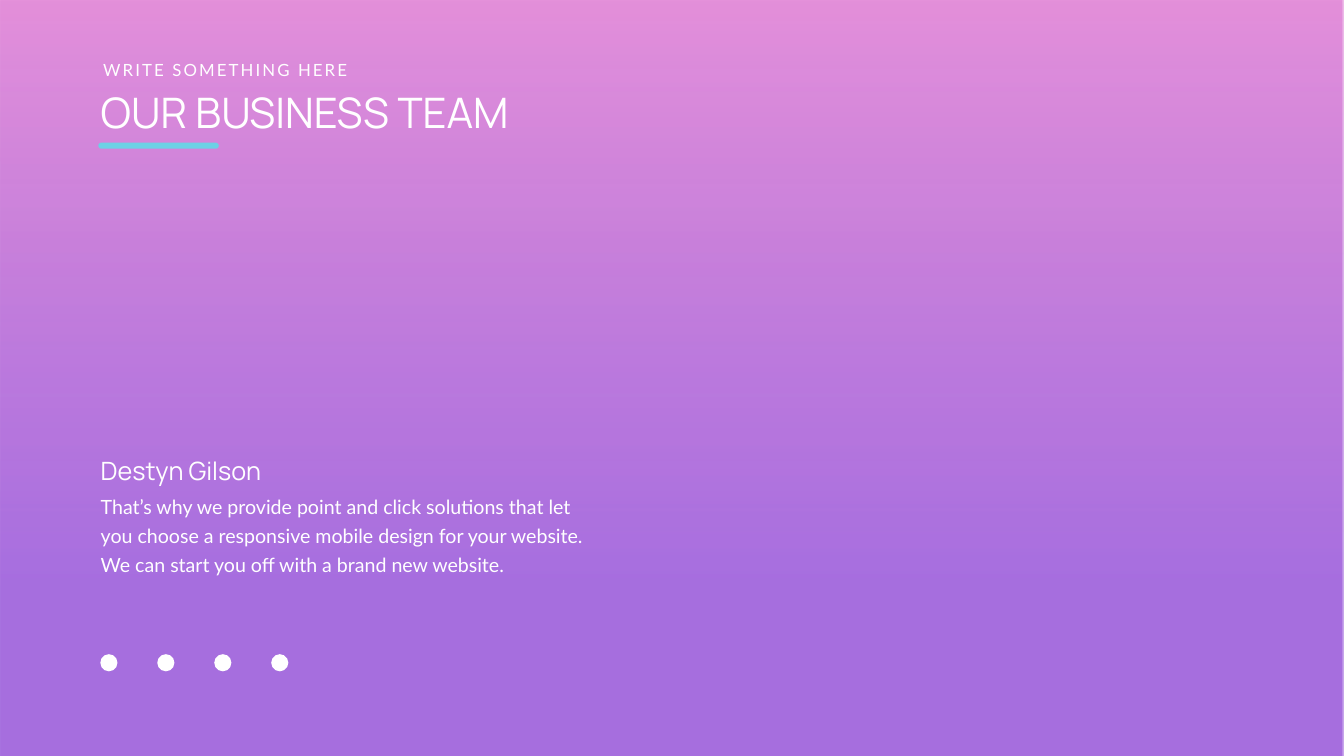
from dataclasses import dataclass

from lxml import etree
from pptx import Presentation
from pptx.dml.color import RGBColor
from pptx.enum import shapes, text
from pptx.oxml import ns
from pptx.util import Inches, Pt


@dataclass(frozen=True)
class Theme:
    white: RGBColor = RGBColor.from_string("FFFFFF")
    pink: RGBColor = RGBColor.from_string("E184D6")
    purple: RGBColor = RGBColor.from_string("914BD7")
    accent: RGBColor = RGBColor.from_string("6CD1E5")
    heading_font: str = "Manrope"
    body_font: str = "Lato"
    title_size: Pt = Pt(60)
    name_size: Pt = Pt(36)
    body_size: Pt = Pt(28)
    kicker_size: Pt = Pt(24)


theme = Theme()
prs = Presentation()
prs.slide_width, prs.slide_height = Inches(26.66), Inches(15)
slide = prs.slides.add_slide(prs.slide_layouts[6])


def add_plain(kind, left, top, width, height, color=None):
    """Add a preset shape without line or shadow, filled if a color is given."""
    shape = slide.shapes.add_shape(
        kind, Inches(left), Inches(top), Inches(width), Inches(height))
    shape.shadow.inherit = False
    shape.line.fill.background()
    if color is not None:
        shape.fill.solid()
        shape.fill.fore_color.rgb = color
    return shape


def add_text(words, left, top, width, height, font, size, wrap=True):
    box = slide.shapes.add_textbox(
        Inches(left), Inches(top), Inches(width), Inches(height))
    frame = box.text_frame
    frame.word_wrap = wrap
    frame.auto_size = text.MSO_AUTO_SIZE.SHAPE_TO_FIT_TEXT
    paragraph = frame.paragraphs[0]
    paragraph.text = words
    paragraph.font.name = font
    paragraph.font.size = size
    paragraph.font.color.rgb = theme.white
    return paragraph


# Background: translucent gradient running from top to bottom
backdrop = add_plain(shapes.MSO_SHAPE.RECTANGLE, 0, 0, 26.66, 15)
backdrop.fill.gradient()
backdrop.fill.gradient_angle = 270
stops = [(0, theme.pink, 90), (0.78, theme.purple, 80)]
for stop, (position, color, opacity) in zip(backdrop.fill.gradient_stops, stops):
    stop.position = position
    stop.color.rgb = color
colors = backdrop.fill._xPr.iter(ns.qn("a:srgbClr"))
for color_element, (position, color, opacity) in zip(colors, stops):
    etree.SubElement(color_element, ns.qn("a:alpha"), val=str(opacity * 1000))

# Heading
add_text("OUR BUSINESS TEAM", 1.9, 1.67, 10.55, 1.11,
         theme.heading_font, theme.title_size)
kicker = add_text("WRITE SOMETHING HERE", 1.95, 1.13, 5.14, 0.5,
                  theme.body_font, theme.kicker_size, wrap=False)
kicker.runs[0].font._element.set("spc", "300")
underline = add_plain(shapes.MSO_SHAPE.ROUNDED_RECTANGLE,
                      1.95, 2.83, 2.39, 0.12, theme.accent)
underline.adjustments[0] = 0.5

# Team member
biography = add_text(
    "That’s why we provide point and click solutions that let you choose "
    "a responsive mobile design for your website. "
    "We can start you off with a brand new website.",
    1.9, 9.68, 9.96, 1.77, theme.body_font, theme.body_size)
biography.line_spacing = Pt(40.8)
add_text("Destyn Gilson", 1.9, 8.98, 3.66, 0.71,
         theme.heading_font, theme.name_size, wrap=False)

# Social links
for index in range(4):
    add_plain(shapes.MSO_SHAPE.OVAL, 1.99 + 1.13 * index, 12.98, 0.34, 0.34,
              theme.white)

prs.save("out.pptx")
